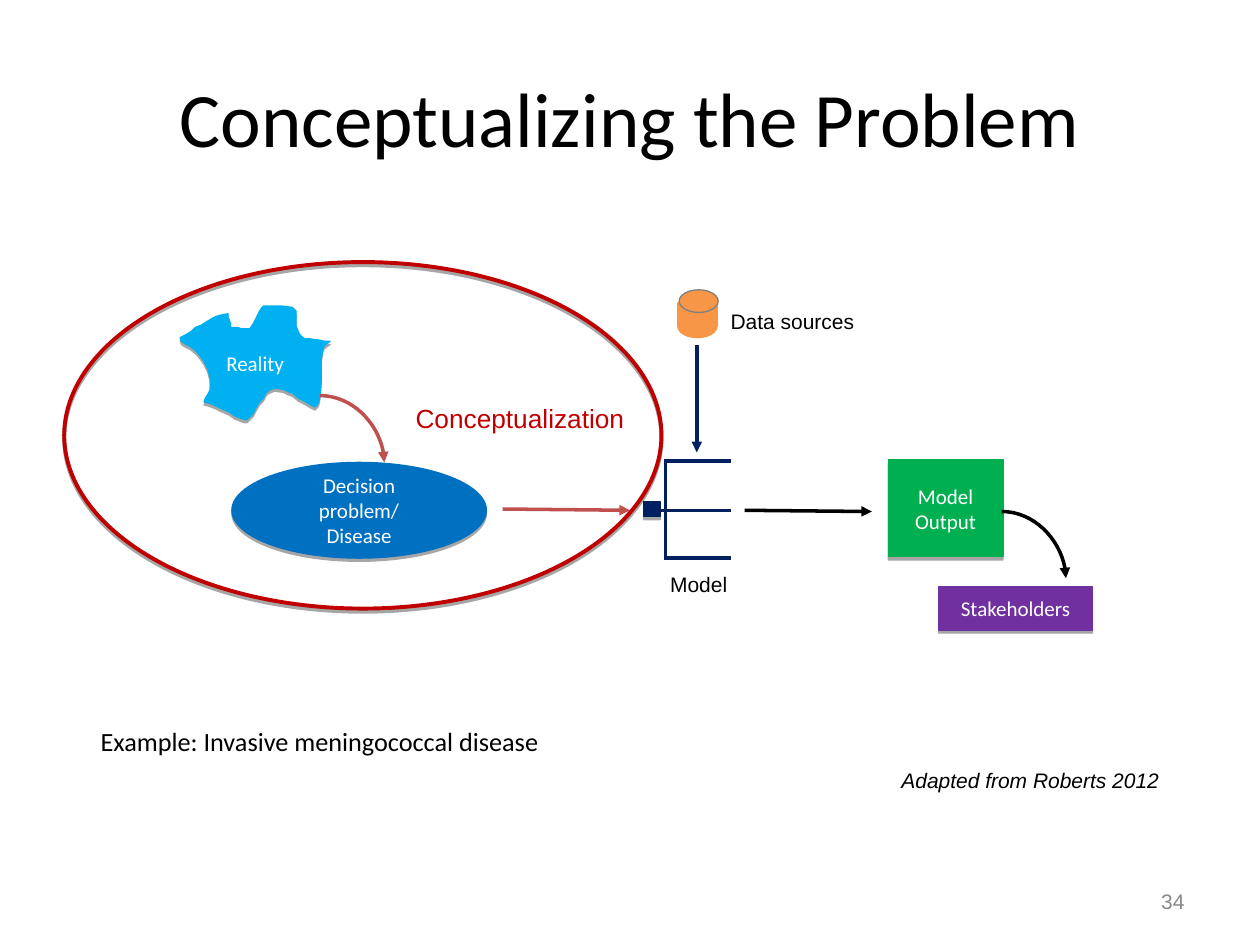
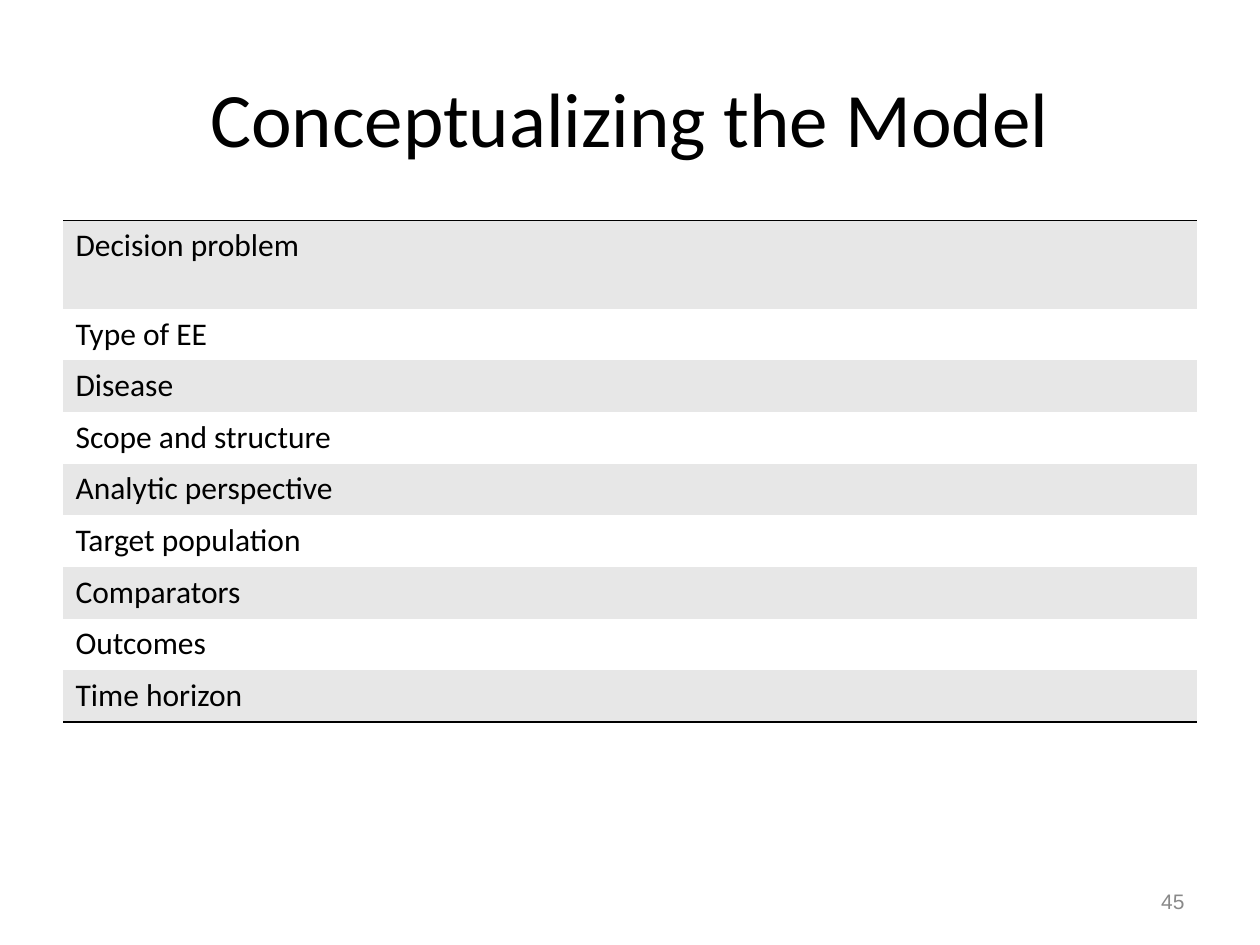
import dataclasses
import typing

import lxml.etree
import pptx
import pptx.dml.color
import pptx.enum.shapes
import pptx.enum.text
import pptx.oxml.ns
import pptx.util

Inches = pptx.util.Inches
Pt = pptx.util.Pt
qn = pptx.oxml.ns.qn
ShapeKind = pptx.enum.shapes.MSO_SHAPE
ConnectorKind = pptx.enum.shapes.MSO_CONNECTOR
Align = pptx.enum.text.PP_ALIGN
Anchor = pptx.enum.text.MSO_ANCHOR
AutoSize = pptx.enum.text.MSO_AUTO_SIZE
Point = tuple[float, float]
Frame = tuple[float, float, float, float]


@dataclasses.dataclass(frozen=True)
class Theme:
    black: str = "000000"
    white: str = "FFFFFF"
    number_grey: str = "898989"
    outline_grey: str = "7F7F7F"
    band_grey: str = "E7E7E7"
    sky: str = "00B0F0"
    blue: str = "0070C0"
    navy: str = "002060"
    green: str = "00B050"
    purple: str = "7030A0"
    orange: str = "F79646"
    brick: str = "C0504D"
    red: str = "C00000"
    heading_font: str = "Calibri"
    label_font: str = "Arial"
    title_size: float = 44
    table_size: float = 18
    callout_size: float = 15
    label_size: float = 12
    thin: float = 0.75
    border: float = 0.96
    arrow: float = 2
    ring: float = 2.25


THEME = Theme()


@dataclasses.dataclass(frozen=True)
class Node:
    kind: typing.Any
    frame: Frame
    fill: str | None
    line: str
    text: str = ""
    shadow: bool = True
    line_width: float = THEME.thin


@dataclasses.dataclass(frozen=True)
class Label:
    text: str
    frame: Frame
    size: float = THEME.label_size
    font: str = THEME.label_font
    color: str = THEME.black
    align: typing.Any = Align.LEFT
    italic: bool = False
    anchor: typing.Any = Anchor.TOP
    wrap: bool = False


@dataclasses.dataclass(frozen=True)
class Link:
    start: Point
    end: Point
    color: str
    arrow: bool = True
    curved: bool = False


# Outline of the irregular "Reality" blob, in hundredths of an inch
REALITY_OUTLINE = [
    (181, 249), (176, 250), (172, 251), (168, 253), (163, 256), (160, 258), (155, 260),
    (152, 263), (147, 266), (143, 268), (144, 271), (147, 273), (151, 275), (156, 279),
    (160, 284), (162, 287), (165, 293), (167, 301), (167, 309), (165, 313), (163, 316),
    (162, 319), (166, 320), (171, 322), (175, 324), (182, 327), (186, 330), (191, 332),
    (194, 333), (196, 333), (199, 330), (201, 328), (203, 324), (206, 319), (209, 316),
    (211, 312), (213, 310), (218, 308), (225, 309), (229, 311), (232, 312), (237, 316),
    (241, 318), (246, 321), (250, 323), (252, 321), (253, 319), (254, 314), (255, 301),
    (255, 285), (256, 278), (257, 275), (259, 273), (262, 271), (258, 271), (253, 270),
    (246, 269), (242, 269), (239, 267), (237, 264), (235, 259), (235, 247), (234, 246),
    (232, 244), (224, 243), (209, 243), (208, 244), (206, 247), (204, 251), (203, 253),
    (201, 257), (199, 260), (198, 261), (191, 261), (189, 260), (183, 260), (183, 257),
    (182, 254), (181, 252),
]

NODES = [
    Node(ShapeKind.OVAL, (1.84, 3.67, 2.02, 0.76), THEME.blue, THEME.blue,
         "Decision problem/\nDisease"),
    Node(ShapeKind.RECTANGLE, (7.05, 3.65, 0.91, 0.77), THEME.green, THEME.green, "Model Output"),
    Node(ShapeKind.RECTANGLE, (7.45, 4.66, 1.22, 0.34), THEME.purple, THEME.purple, "Stakeholders"),
]
DATA_CYLINDER = [
    Node(ShapeKind.OVAL, (5.38, 2.5, 0.31, 0.18), THEME.orange, THEME.orange, shadow=False),
    Node(ShapeKind.RECTANGLE, (5.38, 2.4, 0.31, 0.19), THEME.orange, THEME.orange, shadow=False),
    Node(ShapeKind.OVAL, (5.39, 2.3, 0.31, 0.18), THEME.orange, THEME.outline_grey, shadow=False),
]
TREE_ROOT = Node(ShapeKind.RECTANGLE, (5.11, 3.98, 0.13, 0.12), THEME.navy, THEME.navy)
TREE_BRANCHES = [
    Link((5.11, 4.05), (5.8, 4.05), THEME.navy, arrow=False),
    Link((5.27, 4.43), (5.8, 4.43), THEME.navy, arrow=False),
    Link((5.27, 3.66), (5.8, 3.66), THEME.navy, arrow=False),
    Link((5.28, 3.66), (5.28, 4.43), THEME.navy, arrow=False),
]
CONCEPT_RING = Node(ShapeKind.OVAL, (0.51, 2.08, 4.74, 2.75), None, THEME.red,
                    line_width=THEME.ring)
ARROWS = [
    Link((3.99, 4.04), (5, 4.05), THEME.brick),
    Link((5.91, 4.05), (6.92, 4.06), THEME.black),
    Link((2.54, 3.14), (3.05, 3.67), THEME.brick, curved=True),
    Link((5.53, 2.74), (5.53, 3.59), THEME.navy),
    Link((7.95, 4.06), (8.46, 4.59), THEME.black, curved=True),
]
LABELS = [
    Label("Data sources", (5.7, 2.4, 1.18, 0.3)),
    Label("Model", (5.22, 4.49, 0.68, 0.3)),
    Label("Conceptualization", (3.2, 3.14, 1.9, 0.35), THEME.callout_size, color=THEME.red),
    Label("Adapted from Roberts 2012", (7.05, 6.04, 2.25, 0.3), align=Align.RIGHT, italic=True),
    Label("Example: Invasive meningococcal disease", (0.7, 5.71, 3.69, 0.35),
          THEME.callout_size, THEME.heading_font),
]
MODEL_ASPECTS = [
    "Decision problem", "Type of EE", "Disease", "Scope and structure", "Analytic perspective",
    "Target population", "Comparators", "Outcomes", "Time horizon",
]


def rgb(color: str) -> pptx.dml.color.RGBColor:
    return pptx.dml.color.RGBColor.from_string(color)


def inches(values: typing.Iterable[float]) -> list[int]:
    return [Inches(value) for value in values]


def format_text(text_frame, size: float, font: str, color: str, align, italic: bool = False) -> None:
    for paragraph in text_frame.paragraphs:
        paragraph.alignment = align
        for run in paragraph.runs:
            run.font.size = Pt(size)
            run.font.name = font
            run.font.italic = italic
            run.font.color.rgb = rgb(color)


def add_drop_shadow(shape) -> None:
    effects = shape._element.spPr.find(qn("a:effectLst"))
    shadow = lxml.etree.SubElement(effects, qn("a:outerShdw"), blurRad="0", dist=str(Pt(1.8)),
                                   dir="5400000", rotWithShape="0")
    color = lxml.etree.SubElement(shadow, qn("a:srgbClr"), val=THEME.black)
    lxml.etree.SubElement(color, qn("a:alpha"), val="35000")


def style_shape(shape, fill: str | None, line: str, line_width: float, shadow: bool,
                text: str) -> None:
    shape.shadow.inherit = False
    if fill is None:
        shape.fill.background()
    else:
        shape.fill.solid()
        shape.fill.fore_color.rgb = rgb(fill)
    shape.line.color.rgb = rgb(line)
    shape.line.width = Pt(line_width)
    if shadow:
        add_drop_shadow(shape)
    if text:
        shape.text_frame.text = text
        shape.text_frame.word_wrap = True
        shape.text_frame.vertical_anchor = Anchor.MIDDLE
        format_text(shape.text_frame, THEME.label_size, THEME.heading_font, THEME.white,
                    Align.CENTER)


def add_node(shapes, node: Node) -> None:
    shape = shapes.add_shape(node.kind, *inches(node.frame))
    style_shape(shape, node.fill, node.line, node.line_width, node.shadow, node.text)


def add_reality(shapes) -> None:
    builder = shapes.build_freeform(*REALITY_OUTLINE[0], scale=Inches(0.01))
    builder.add_line_segments(REALITY_OUTLINE[1:], close=True)
    style_shape(builder.convert_to_shape(), THEME.sky, THEME.sky, THEME.thin, True, "Reality")


def add_link(shapes, link: Link) -> None:
    kind = ConnectorKind.CURVE if link.curved else ConnectorKind.STRAIGHT
    connector = shapes.add_connector(kind, *inches(link.start + link.end))
    connector.line.color.rgb = rgb(link.color)
    connector.line.width = Pt(THEME.arrow)
    properties = connector._element.spPr
    if link.curved:
        properties.find(qn("a:prstGeom")).set("prst", "curvedConnector2")
    if link.arrow:
        lxml.etree.SubElement(properties.find(qn("a:ln")), qn("a:tailEnd"), type="triangle")
    lxml.etree.SubElement(properties, qn("a:effectLst"))


def add_label(shapes, label: Label) -> None:
    text_frame = shapes.add_textbox(*inches(label.frame)).text_frame
    text_frame.text = label.text
    text_frame.word_wrap = label.wrap
    text_frame.auto_size = AutoSize.NONE if label.wrap else AutoSize.SHAPE_TO_FIT_TEXT
    text_frame.vertical_anchor = label.anchor
    format_text(text_frame, label.size, label.font, label.color, label.align, label.italic)


def add_titled_slide(presentation, title: str, number: int):
    slide = presentation.slides.add_slide(presentation.slide_layouts[5])
    placeholder = slide.shapes.title
    placeholder.left, placeholder.top, placeholder.width, placeholder.height = inches(
        (0.5, 0.3, 9, 1.25))
    placeholder.text_frame.text = title
    placeholder.text_frame.vertical_anchor = Anchor.MIDDLE
    format_text(placeholder.text_frame, THEME.title_size, THEME.heading_font, THEME.black,
                Align.CENTER)
    add_label(slide.shapes, Label(str(number), (7.17, 6.95, 2.33, 0.4), color=THEME.number_grey,
                                  align=Align.RIGHT, anchor=Anchor.MIDDLE, wrap=True))
    return slide


def set_borders(cell, ruled_sides: set[str]) -> None:
    """Rule the named sides (T, B) and clear the others."""
    properties = cell._tc.get_or_add_tcPr()
    for position, side in enumerate("LRTB"):
        line = lxml.etree.Element(qn(f"a:ln{side}"), w=str(Pt(THEME.border)))
        if side in ruled_sides:
            fill = lxml.etree.SubElement(line, qn("a:solidFill"))
            lxml.etree.SubElement(fill, qn("a:srgbClr"), val=THEME.black)
        else:
            lxml.etree.SubElement(line, qn("a:noFill"))
        properties.insert(position, line)


def add_aspect_table(shapes) -> None:
    first_height, row_height = 0.7, 0.41
    last = len(MODEL_ASPECTS) - 1
    frame = (0.5, 1.75, 9, first_height + last * row_height)
    table = shapes.add_table(len(MODEL_ASPECTS), 2, *inches(frame)).table
    table.first_row = table.horz_banding = False
    for column, width in zip(table.columns, (2.49, 6.51)):
        column.width = Inches(width)
    for index, aspect in enumerate(MODEL_ASPECTS):
        table.rows[index].height = Inches(row_height if index else first_height)
        ruled_sides = {0: {"T"}, last: {"B"}}.get(index, set())
        table.cell(index, 0).text_frame.text = aspect
        for cell in table.rows[index].cells:
            cell.fill.solid()
            cell.fill.fore_color.rgb = rgb(THEME.white if index % 2 else THEME.band_grey)
            set_borders(cell, ruled_sides)
            format_text(cell.text_frame, THEME.table_size, THEME.heading_font, THEME.black,
                        Align.LEFT)


def build_problem_slide(presentation) -> None:
    shapes = add_titled_slide(presentation, "Conceptualizing the Problem", 34).shapes
    add_reality(shapes)
    for node in NODES:
        add_node(shapes, node)
    tree = shapes.add_group_shape().shapes
    add_node(tree, TREE_ROOT)
    for branch in TREE_BRANCHES:
        add_link(tree, branch)
    cylinder = shapes.add_group_shape().shapes
    for node in DATA_CYLINDER:
        add_node(cylinder, node)
    for arrow in ARROWS:
        add_link(shapes, arrow)
    for label in LABELS:
        add_label(shapes, label)
    add_node(shapes, CONCEPT_RING)


def build_model_slide(presentation) -> None:
    slide = add_titled_slide(presentation, "Conceptualizing the Model", 45)
    add_aspect_table(slide.shapes)


def main() -> None:
    presentation = pptx.Presentation()
    presentation.slide_width, presentation.slide_height = inches((10, 7.5))
    build_problem_slide(presentation)
    build_model_slide(presentation)
    presentation.save("out.pptx")


if __name__ == "__main__":
    main()
